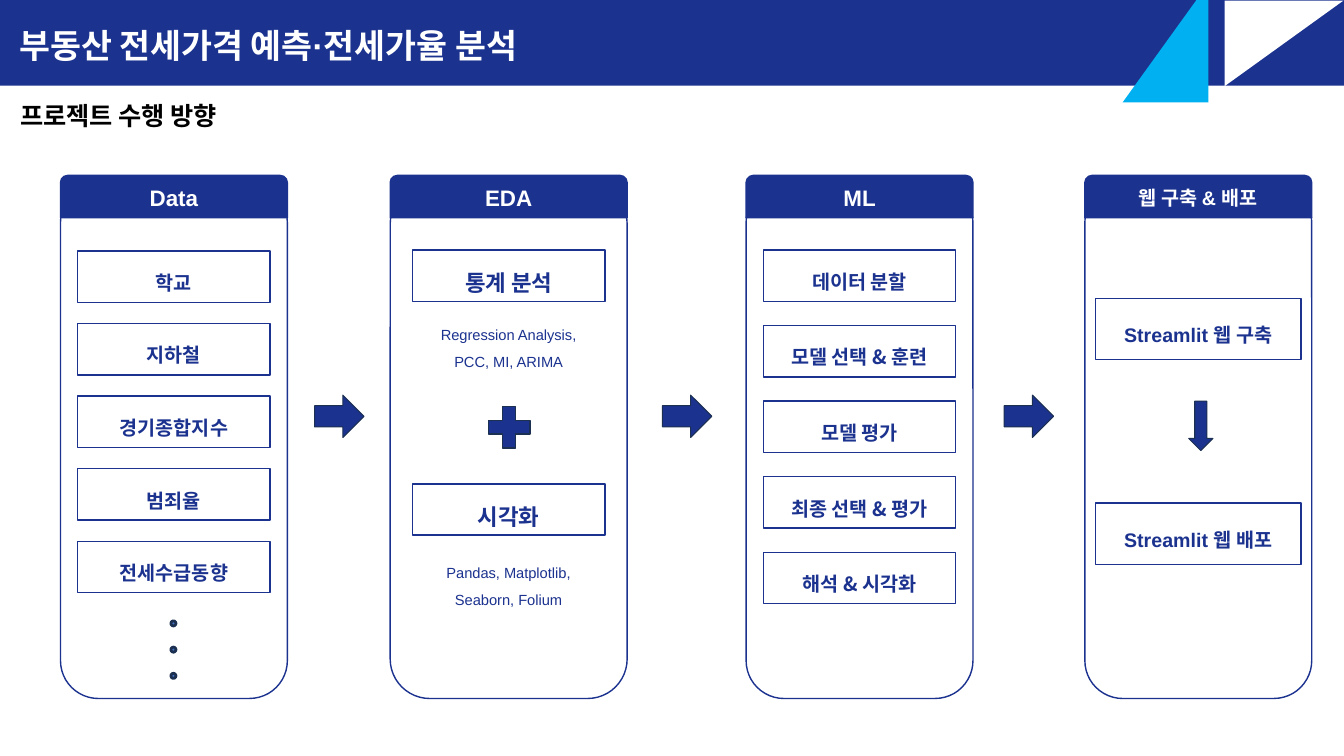
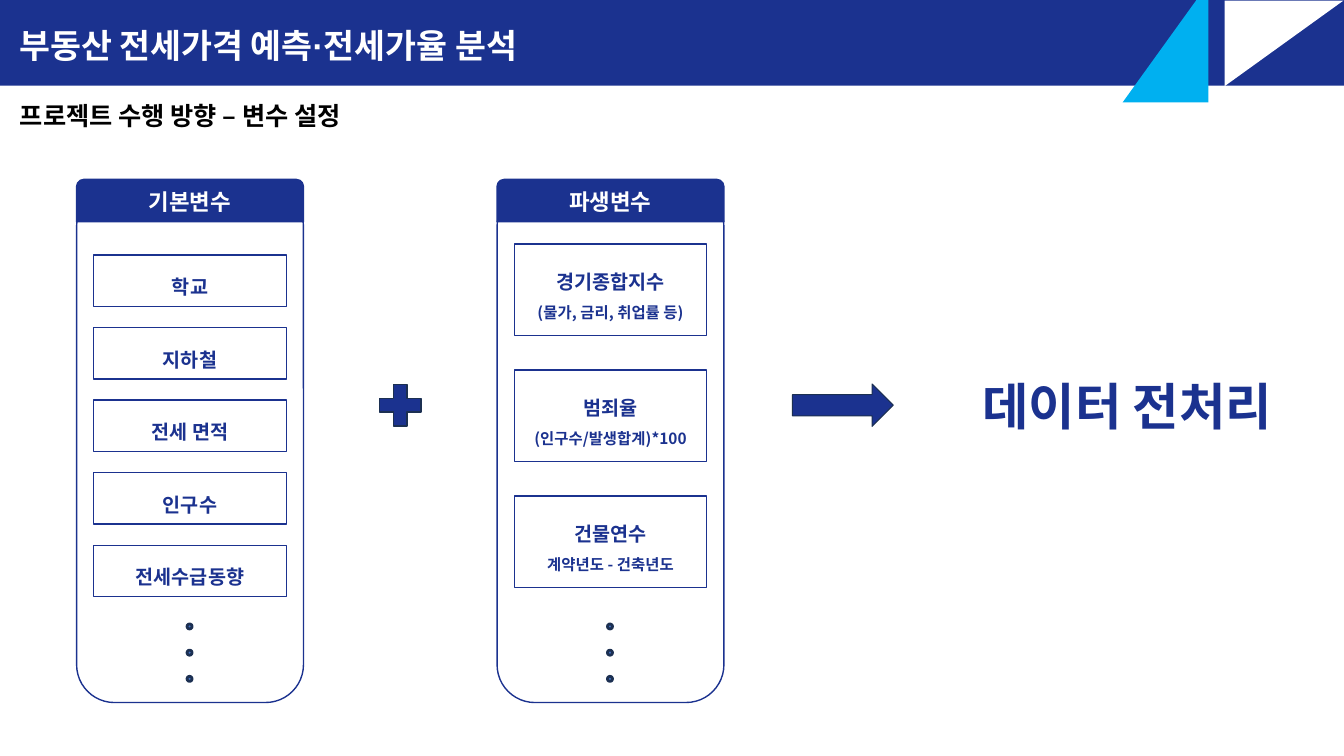
from lxml import etree
from pptx import Presentation
from pptx.dml import color
from pptx.enum import shapes, text
from pptx.oxml import ns
from pptx.util import Inches, Pt

NAVY, EDGE, WHITE, BLACK = "1B328F", "1C3052", "FFFFFF", "000000"
CYAN, DOT_BLUE = "00B0F0", "4472C4"
LATIN, KOREAN = "Arial", "Noto Sans CJK KR"
TITLE = "부동산 전세가격 예측·전세가율 분석"
CARD_WIDTH, ROW_HEIGHT = 2.25, 0.51
KIND = shapes.MSO_SHAPE
LEFT, CENTER = text.PP_ALIGN.LEFT, text.PP_ALIGN.CENTER
TOP, MIDDLE = text.MSO_ANCHOR.TOP, text.MSO_ANCHOR.MIDDLE


def rgb(value):
    return color.RGBColor.from_string(value)


def write(box, lines, sizes, ink=NAVY, font=KOREAN, bold=True,
          align=CENTER, anchor=MIDDLE, spacing=None):
    """Fill a box with one paragraph per line, each with its own size."""
    frame = box.text_frame
    frame.word_wrap = True
    frame.auto_size = text.MSO_AUTO_SIZE.NONE
    frame.vertical_anchor = anchor
    frame.text = "\n".join(lines)
    for para, size in zip(frame.paragraphs, sizes):
        para.alignment = align
        para.line_spacing = spacing
        for span in para.runs:
            span.font.size = Pt(size)
            span.font.bold = bold
            span.font.color.rgb = rgb(ink)
            span.font.name = font
            east_asian = etree.SubElement(span._r.get_or_add_rPr(), ns.qn("a:ea"))
            east_asian.set("typeface", KOREAN)


def add_shape(page, kind, left, top, width, height, fill=NAVY, line=None,
              weight=1, adjust=(), turn=0):
    shape = page.shapes.add_shape(
        kind, Inches(left), Inches(top), Inches(width), Inches(height))
    shape.shadow.inherit = False
    shape.rotation = turn
    shape.fill.solid()
    shape.fill.fore_color.rgb = rgb(fill)
    if line:
        shape.line.color.rgb = rgb(line)
        shape.line.width = Pt(weight)
    else:
        shape.line.fill.background()
    for index, value in enumerate(adjust):
        shape.adjustments[index] = value
    return shape


def add_label(page, words, left, top, width, height, size, **style):
    box = page.shapes.add_textbox(
        Inches(left), Inches(top), Inches(width), Inches(height))
    write(box, [words], [size], anchor=TOP, **style)


def add_page(deck, subtitle, subtitle_width):
    """Add a slide with the title band, corner triangles and subtitle."""
    page = deck.slides.add_slide(deck.slide_layouts[5])
    band = page.shapes.title
    band.left, band.top = Inches(0), Inches(0)
    band.width, band.height = deck.slide_width, Inches(0.85)
    band.fill.solid()
    band.fill.fore_color.rgb = rgb(NAVY)
    write(band, [TITLE], [24], WHITE, LATIN, align=LEFT, anchor=TOP, spacing=1.5)
    band.text_frame.margin_left = Inches(0.19)
    add_shape(page, KIND.RIGHT_TRIANGLE, 12.31, -0.16, 0.85, 1.18, WHITE, turn=90)
    add_shape(page, KIND.RIGHT_TRIANGLE, 10.97, 0, 1.18, 0.85, CYAN, turn=270)
    add_label(page, subtitle, 0.1, 0.95, subtitle_width, 0.4, 18, ink=BLACK, align=LEFT)
    return page


def add_card(page, heading, left, top, width=CARD_WIDTH, size=16):
    """Draw a rounded column under a heading tab and return its centre."""
    add_shape(page, KIND.ROUNDED_RECTANGLE, left, top + 0.09, width, 5.1,
              WHITE, NAVY, adjust=(0.167,))
    tab = add_shape(page, KIND.ROUND_2_SAME_RECTANGLE, left, top, width, 0.42,
                    NAVY, NAVY, adjust=(0.167, 0))
    write(tab, [heading], [size], WHITE, LATIN)
    return left + width / 2


def add_rows(page, rows, center, top, pitch, width=1.91, height=ROW_HEIGHT,
             sizes=(14,), font=KOREAN):
    """Stack outlined boxes at an equal pitch; each row is a list of lines."""
    for index, lines in enumerate(rows):
        row = add_shape(page, KIND.RECTANGLE, center - width / 2,
                        top + index * pitch, width, height, WHITE, NAVY)
        write(row, lines, sizes, font=font, spacing=1.5)


def add_dots(page, center, top):
    for index in range(3):
        add_shape(page, KIND.OVAL, center - 0.03, top + index * 0.26, 0.05, 0.05,
                  DOT_BLUE, EDGE, 2)


def add_arrow(page, left, top, width=0.49, height=0.42, kind=KIND.RIGHT_ARROW):
    add_shape(page, kind, left, top, width, height, NAVY, EDGE, 0.75)


def add_plus(page, left, top):
    add_shape(page, KIND.MATH_PLUS, left, top, 0.56, 0.56, NAVY, EDGE, adjust=(0.235,))


def build_process(deck):
    page = add_page(deck, "프로젝트 수행 방향", 2.68)

    center = add_card(page, "Data", 0.6, 1.74)
    add_rows(page, [["학교"], ["지하철"], ["경기종합지수"], ["범죄율"], ["전세수급동향"]],
             center, 2.49, 0.72)
    add_dots(page, center, 6.16)

    center = add_card(page, "EDA", 3.87, 1.74, width=2.35)
    add_rows(page, [["통계 분석"], ["시각화"]], center, 2.48, 2.32, sizes=(16,))
    for tools, top, width in (("Regression Analysis, PCC, MI, ARIMA", 3.1, 1.78),
                              ("Pandas, Matplotlib, Seaborn, Folium", 5.46, 1.66)):
        add_label(page, tools, center - width / 2, top, width, 0.63, 10.5,
                  font=LATIN, bold=False, spacing=1.5)
    add_plus(page, 4.77, 3.96)

    center = add_card(page, "ML", 7.4, 1.74)
    add_rows(page, [["데이터 분할"], ["모델 선택 & 훈련"], ["모델 평가"],
                    ["최종 선택 & 평가"], ["해석 & 시각화"]], center, 2.48, 0.75)

    center = add_card(page, "웹 구축 & 배포", 10.76, 1.74, size=14)
    add_rows(page, [["Streamlit 웹 구축"], ["Streamlit 웹 배포"]], center, 2.96, 2.03,
             width=2.04, height=0.61, font=LATIN)
    add_arrow(page, 11.79, 3.98, 0.24, 0.49, KIND.DOWN_ARROW)

    for left in (3.12, 6.57, 9.96):
        add_arrow(page, left, 3.92)


def build_variables(deck):
    page = add_page(deck, "프로젝트 수행 방향 – 변수 설정", 3.93)

    center = add_card(page, "기본변수", 0.76, 1.78)
    add_rows(page, [["학교"], ["지하철"], ["전세 면적"], ["인구수"], ["전세수급동향"]],
             center, 2.53, 0.72)
    add_dots(page, center, 6.19)
    add_plus(page, 3.69, 3.74)

    center = add_card(page, "파생변수", 4.93, 1.78)
    add_rows(page, [["경기종합지수", "(물가, 금리, 취업률 등)"],
                    ["범죄율", "(인구수/발생합계)*100"],
                    ["건물연수", "계약년도 - 건축년도"]],
             center, 2.42, 1.25, height=0.91, sizes=(14, 11))
    add_dots(page, center, 6.19)

    add_arrow(page, 7.86, 3.81, width=1)
    add_label(page, "데이터 전처리", 9.3, 3.67, 3.76, 0.72, 36)


def main():
    deck = Presentation()
    deck.slide_width, deck.slide_height = Inches(13.33), Inches(7.5)
    build_process(deck)
    build_variables(deck)
    deck.save("out.pptx")


if __name__ == "__main__":
    main()
